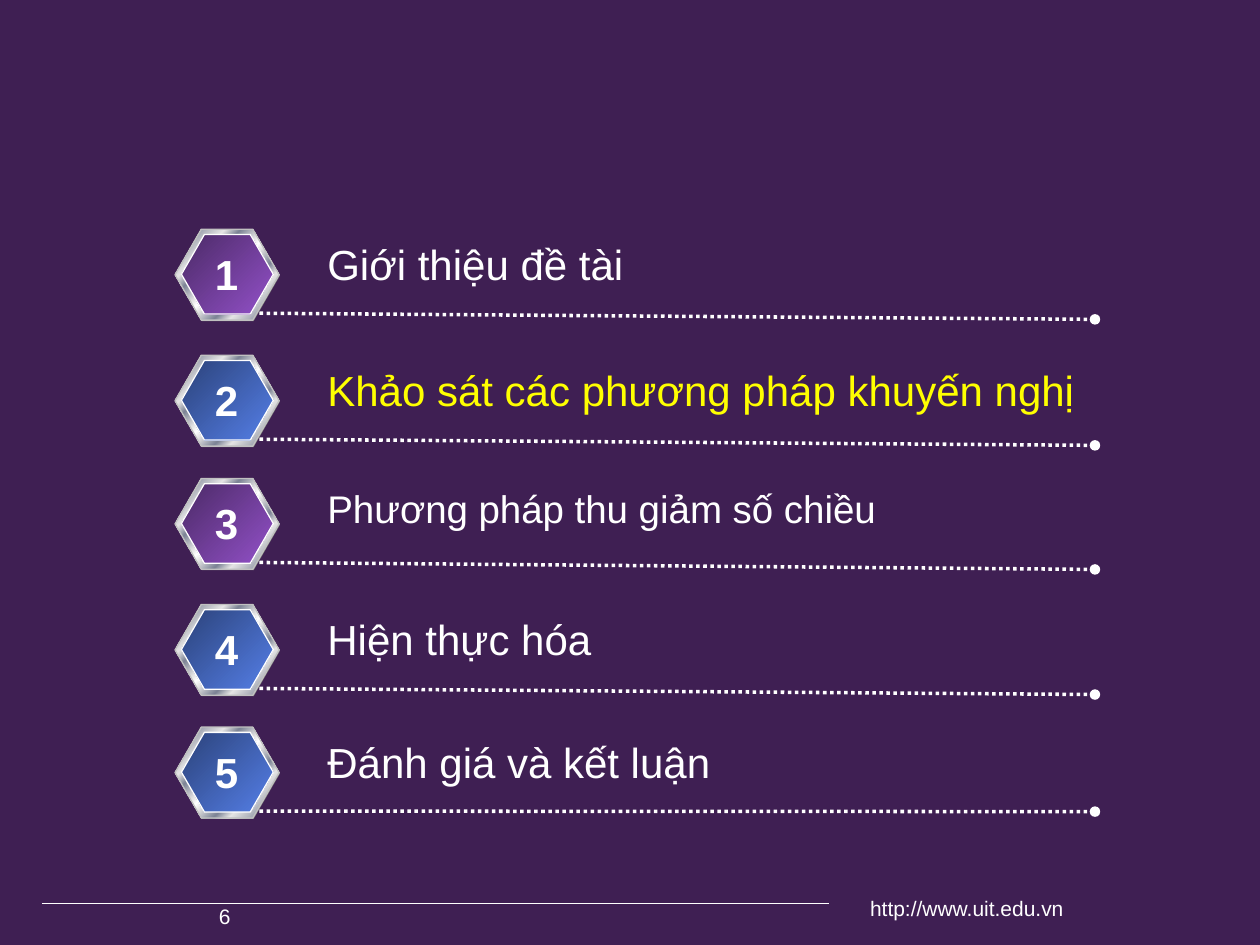
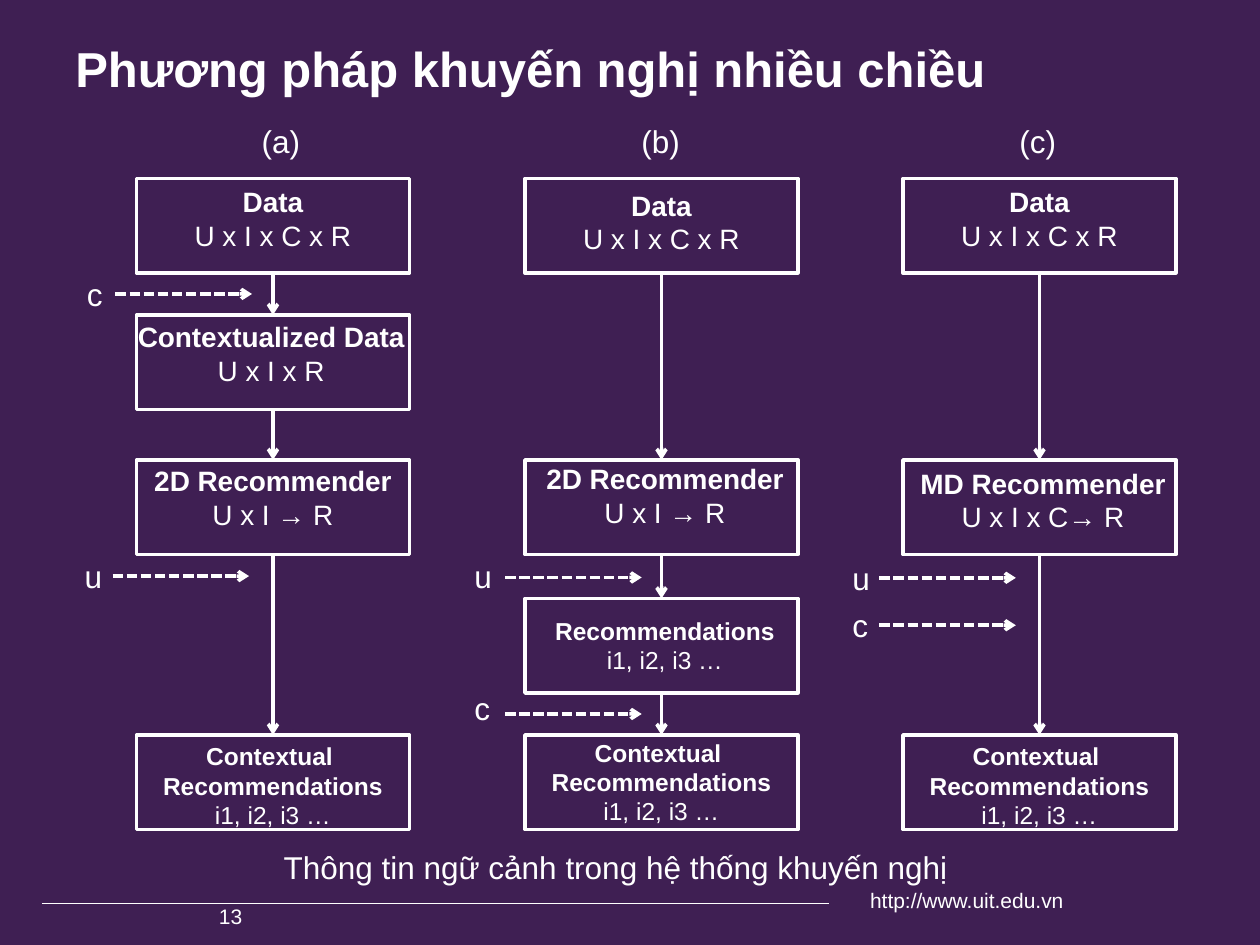
from lxml import etree
from pptx import Presentation
from pptx.dml.color import RGBColor
from pptx.enum.dml import MSO_LINE_DASH_STYLE as Dash
from pptx.enum.shapes import MSO_CONNECTOR, MSO_SHAPE
from pptx.enum.text import MSO_ANCHOR, MSO_AUTO_SIZE, PP_ALIGN
from pptx.oxml.ns import qn
from pptx.util import Pt

# Shared look
FONT = "Arial"
BACKGROUND = RGBColor(0x3F, 0x1F, 0x53)
WHITE = RGBColor(0xFF, 0xFF, 0xFF)
YELLOW = RGBColor(0xFF, 0xFF, 0x00)
SHADE = RGBColor(0x80, 0x80, 0x80)
RIM = RGBColor(0xC0, 0xC0, 0xC0)
LIGHT = RGBColor(0xE6, 0xE6, 0xE6)
STEEL = RGBColor(0x7D, 0x84, 0x96)
PURPLE = [(0, RGBColor(0x4B, 0x2A, 0x66)), (100, RGBColor(0x93, 0x51, 0xC9))]
BLUE = [(0, RGBColor(0x2B, 0x42, 0x7A)), (100, RGBColor(0x55, 0x7F, 0xE7))]
CHROME = [(0, LIGHT), (7, STEEL), (26, LIGHT), (34, STEEL), (46, LIGHT), (50, WHITE),
          (54, LIGHT), (66, STEEL), (74, LIGHT), (93, STEEL), (100, LIGHT)]
URL = "http://www.uit.edu.vn"

# Agenda: text, text width, size, colour, badge colours, badge top, text shift, line drop
AGENDA = [
    ("Giới thiệu đề tài", 186, 24, WHITE, PURPLE, 131, 1.5, 3.5),
    ("Khảo sát các phương pháp khuyến nghị", 446, 24, YELLOW, BLUE, 203, 1.5, 3.5),
    ("Phương pháp thu giảm số chiều", 338, 22, WHITE, PURPLE, 273.4, 0, 4),
    ("Hiện thực hóa", 167, 24, WHITE, BLUE, 345.4, 1.5, 3.5),
    ("Đánh giá và kết luận", 235, 24, WHITE, BLUE, 415.5, 2, 0.3),
]

# Flow charts: heading, heading shift, left, boxes
# Each box: row, lines, bold lines, size, text shift across and down
TITLE = "Phương pháp khuyến nghị nhiều chiều"
CAPTION = "Thông tin ngữ cảnh trong hệ thống khuyến nghị"
BOX_W, BOX_H = 156, 54
OVERHANG = 8  # text areas reach this far past each side of a box
ROWS = {"data": 102, "context": 180, "recommender": 262.8, "list": 342, "result": 420}
DATA = ["Data", "U x I x C x R"]
TWO_D = ["2D Recommender", "U x I → R"]
RESULT = ["Contextual ", "Recommendations", "i1, i2, i3 …"]
FLOWS = [
    ("(a)", 64.5, 78, [
        ("data", DATA, 1, 16, 0, 0),
        ("context", ["Contextualized Data", "U x I x R"], 1, 16, -1, -1),
        ("recommender", TWO_D, 1, 16, 0, -1.5),
        ("result", RESULT, 2, 14, 0, 0)]),
    ("(b)", 59.5, 300, [
        ("data", DATA, 1, 16, 0, 2),
        ("recommender", TWO_D, 1, 16, 2, -2.5),
        ("list", ["Recommendations", "i1, i2, i3 …"], 1, 14, 2, 6.5),
        ("result", RESULT, 2, 14, 0, -2)]),
    ("(c)", 59.5, 516, [
        ("data", DATA, 1, 16, 0, 0),
        ("recommender", ["MD Recommender", "U x I x C→ R"], 1, 16, 2, 0),
        ("result", RESULT, 2, 14, 0, 0)]),
]
# Side inputs: letter, letter left and top, arrow left and height
INPUTS = [
    ("c", 42.5, 153.5, 66, 168), ("u", 41.3, 314.5, 64.3, 329.2),
    ("u", 264, 314.5, 288.7, 330), ("c", 264, 390, 288.7, 408),
    ("u", 480, 315.6, 502.5, 330.2), ("c", 480, 342.5, 502.5, 357.3),
]
INPUT_LENGTH = 78


def add_text(s, text, x, y, w, h, size=18, color=WHITE, bold=0, align=PP_ALIGN.LEFT,
             wrap=False, anchor=MSO_ANCHOR.TOP):
    """Write one line or a list of lines; the first `bold` lines are bold."""
    tf = s.shapes.add_textbox(Pt(x), Pt(y), Pt(w), Pt(h)).text_frame
    tf.word_wrap = wrap
    tf.auto_size = MSO_AUTO_SIZE.NONE if wrap else MSO_AUTO_SIZE.SHAPE_TO_FIT_TEXT
    tf.vertical_anchor = anchor
    for i, line in enumerate([text] if isinstance(text, str) else text):
        p = tf.add_paragraph() if i else tf.paragraphs[0]
        p.alignment = align
        r = p.add_run()
        r.text = line
        r.font.name, r.font.size, r.font.bold = FONT, Pt(size), i < bold
        r.font.color.rgb = color


def add_line(s, x1, y1, x2, y2, width=2, dash=None, end=None):
    c = s.shapes.add_connector(MSO_CONNECTOR.STRAIGHT, Pt(x1), Pt(y1), Pt(x2), Pt(y2))
    c.line.color.rgb, c.line.width = WHITE, Pt(width)
    if dash:
        c.line.dash_style = dash
    if end:
        etree.SubElement(c.line._get_or_add_ln(), qn("a:tailEnd"), type=end)
    etree.SubElement(c._element.spPr, qn("a:effectLst"))


def set_gradient(sp, stops):
    sp.fill.gradient()
    sp.fill.gradient_angle = 315
    stop_list = sp._element.spPr.find(".//" + qn("a:gsLst"))
    for old in list(stop_list):
        stop_list.remove(old)
    for pos, color in stops:
        gs = etree.SubElement(stop_list, qn("a:gs"), pos=str(pos * 1000))
        etree.SubElement(gs, qn("a:srgbClr"), val=str(color))


def add_badge(s, y, colors):
    """Stack shade, chrome rim and coloured face as one group."""
    group = s.shapes.add_group_shape()
    layers = [(100.5, y + 0.5, 59.5, 52, SHADE, None), (100, y, 59.5, 52, CHROME, RIM),
              (103.7, y + 3, 52.5, 45.5, colors, WHITE)]
    for x, top, w, h, fill, edge in layers:
        sp = group.shapes.add_shape(MSO_SHAPE.HEXAGON, Pt(x), Pt(top), Pt(w), Pt(h))
        sp.adjustments[0] = 0.289
        sp.shadow.inherit = False
        if isinstance(fill, list):
            set_gradient(sp, fill)
        else:
            sp.fill.solid()
            sp.fill.fore_color.rgb = fill
        if edge:
            sp.line.color.rgb, sp.line.width = edge, Pt(0.75)
        else:
            sp.line.fill.background()


def new_slide(prs, number, url_top):
    s = prs.slides.add_slide(prs.slide_layouts[6])
    s.background.fill.solid()
    s.background.fill.fore_color.rgb = BACKGROUND
    add_line(s, 24, 516, 474, 516, width=0.5)
    add_text(s, URL, 474, url_top, 141, 24.5, size=12, align=PP_ALIGN.RIGHT, wrap=True)
    add_text(s, number, 118, 513, 102, 19.5, size=12, wrap=True)
    return s


def build_agenda(prs):
    s = new_slide(prs, "6", 508)
    for n, (text, w, size, color, face, y, shift, drop) in enumerate(AGENDA, 1):
        add_badge(s, y, face)
        add_line(s, 148.3, y + 48, 625.7, y + 48 + drop, dash=Dash.ROUND_DOT, end="oval")
        add_text(s, text, 180, y + shift, w, 36, size=size, color=color)
        add_text(s, str(n), 115.5, y + 7.5, 28, 36, size=24, bold=1, align=PP_ALIGN.CENTER)


def build_flows(prs):
    s = new_slide(prs, "13", 503.5)
    add_text(s, TITLE, 36, 21, 573, 36, size=28, bold=1, wrap=True,
             anchor=MSO_ANCHOR.MIDDLE)
    add_text(s, CAPTION, 155, 481, 397, 29)
    for heading, heading_shift, x, boxes in FLOWS:
        add_text(s, heading, x + heading_shift, 66, 36.5, 29)
        # Boxes with their text
        for row, lines, bold, size, dx, dy in boxes:
            y = ROWS[row]
            sp = s.shapes.add_shape(MSO_SHAPE.RECTANGLE, Pt(x), Pt(y), Pt(BOX_W), Pt(BOX_H))
            sp.shadow.inherit = False
            sp.fill.background()
            sp.line.color.rgb, sp.line.width = WHITE, Pt(2)
            add_text(s, lines, x + dx - OVERHANG, y + dy, BOX_W + 2 * OVERHANG,
                     7.2 + len(lines) * size * 1.2,
                     size=size, bold=bold, align=PP_ALIGN.CENTER)
        # Arrows from each box to the next
        mid = x + BOX_W / 2
        for upper, lower in zip(boxes, boxes[1:]):
            add_line(s, mid, ROWS[upper[0]] + BOX_H, mid, ROWS[lower[0]], end="arrow")
    # Dashed side inputs
    for letter, x, y, start, level in INPUTS:
        add_text(s, letter, x, y, 24, 29)
        add_line(s, start, level, start + INPUT_LENGTH, level,
                 dash=Dash.SQUARE_DOT, end="arrow")


def main():
    prs = Presentation()
    prs.slide_width, prs.slide_height = Pt(720), Pt(540)
    build_agenda(prs)
    build_flows(prs)
    prs.save("out.pptx")


if __name__ == "__main__":
    main()
